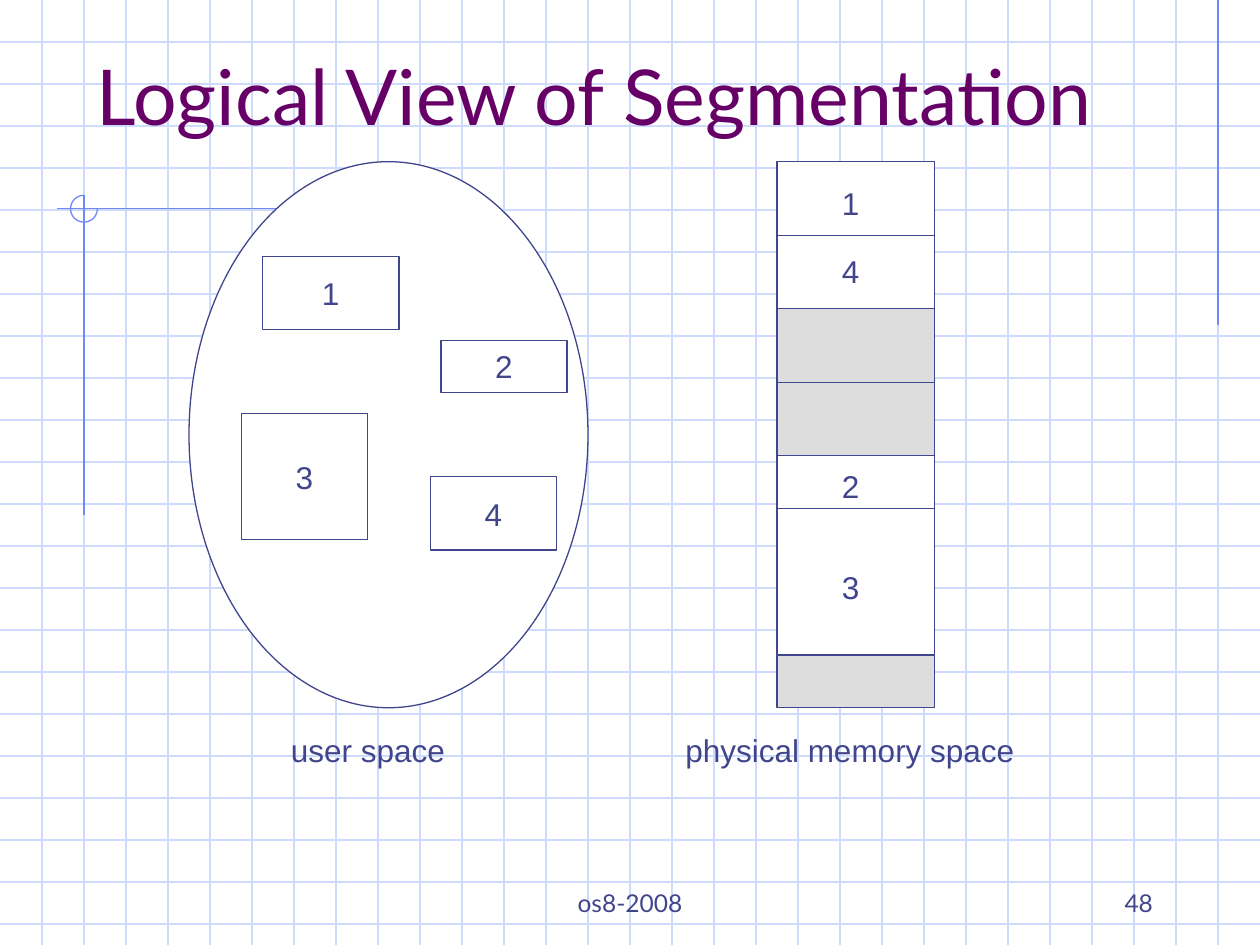
from lxml import etree
from pptx import Presentation
from pptx.dml.color import RGBColor
from pptx.enum.shapes import MSO_CONNECTOR, MSO_SHAPE
from pptx.enum.text import MSO_ANCHOR, MSO_AUTO_SIZE, PP_ALIGN
from pptx.oxml.ns import qn
from pptx.util import Inches, Pt

RECT, OVAL, ARC = MSO_SHAPE.RECTANGLE, MSO_SHAPE.OVAL, MSO_SHAPE.ARC
STRAIGHT = MSO_CONNECTOR.STRAIGHT
LEFT, CENTER, RIGHT = PP_ALIGN.LEFT, PP_ALIGN.CENTER, PP_ALIGN.RIGHT
MIDDLE, BOTTOM = MSO_ANCHOR.MIDDLE, MSO_ANCHOR.BOTTOM
LEFT_SIDE, RIGHT_SIDE = 1, 3
TITLE_ONLY = 5

COLORS = {
    "grid": "CFDBFD", "accent": "6F89F7", "title": "660066",
    "ink": "40458C", "used": "FFFFFF", "free": "DDDDDD",
}
# The slide is ruled in squares, three to the inch; all lengths are in squares.
COLS, ROWS = 30, 22.5


def squares(*counts):
    return [Inches(count / 3) for count in counts]


def color(name):
    return RGBColor.from_string(COLORS[name])


def write(frame, text, size=18, font="Arial", ink="ink", align=CENTER,
          anchor=MIDDLE, wrap=False):
    frame.auto_size = MSO_AUTO_SIZE.NONE
    frame.word_wrap = wrap
    frame.vertical_anchor = anchor
    paragraph = frame.paragraphs[0]
    paragraph.text = text
    paragraph.alignment = align
    paragraph.font.size = Pt(size)
    paragraph.font.name = font
    paragraph.font.color.rgb = color(ink)


class GridSlide:
    def __init__(self, deck):
        self.slide = deck.slides.add_slide(deck.slide_layouts[TITLE_ONLY])
        self.shapes = self.slide.shapes
        self.stroke = Pt(0.75)

    def outline(self, item, ink):
        item.line.color.rgb = color(ink)
        item.line.width = self.stroke

    def line(self, x1, y1, x2, y2, ink="ink"):
        rule = self.shapes.add_connector(STRAIGHT, *squares(x1, y1, x2, y2))
        self.outline(rule, ink)
        etree.SubElement(rule._element.spPr, qn("a:effectLst"))
        return rule

    def shape(self, kind, x, y, w, h, fill="used", ink="ink", text=None):
        item = self.shapes.add_shape(kind, *squares(x, y, w, h))
        item.shadow.inherit = False
        if fill:
            item.fill.solid()
            item.fill.fore_color.rgb = color(fill)
        else:
            item.fill.background()
        self.outline(item, ink)
        if text:
            write(item.text_frame, text)
        return item

    def split(self, block):
        """Divide a block in two equal halves."""
        middle = self.line(0, 0, 1, 0)
        middle.begin_connect(block, LEFT_SIDE)
        middle.end_connect(block, RIGHT_SIDE)

    def label(self, text, x, y, w, h, **style):
        box = self.shapes.add_textbox(*squares(x, y, w, h))
        write(box.text_frame, text, **style)

    def title(self, text, x, y, w, h):
        heading = self.shapes.title
        heading.left, heading.top, heading.width, heading.height = squares(x, y, w, h)
        write(heading.text_frame, text, size=44, font="Lato", ink="title",
              align=LEFT, anchor=BOTTOM, wrap=True)
        # Bring the heading in front of the ruled background
        self.shapes._spTree.append(heading._element)


def main():
    deck = Presentation()
    deck.slide_width, deck.slide_height = squares(COLS, ROWS)
    page = GridSlide(deck)

    # Ruled background
    for row in range(1, 23):
        page.line(0, row, COLS, row, "grid")
    for col in range(1, COLS):
        page.line(col, 0, col, ROWS, "grid")

    # Corner ornaments
    page.line(29, 0, 29, 7.75, "accent")
    page.line(7.2, 4.97, 1.35, 4.97, "accent")
    page.line(2, 4.65, 2, 12.27, "accent")
    ring = page.shape(ARC, 1.68, 4.65, 0.64, 0.64, fill=None, ink="accent")
    ring.adjustments[0] = 0
    ring.adjustments[1] = 162  # 270 degrees

    page.title("Logical View of Segmentation", 2, 1, 25.5, 2.5)

    # User space with its segments
    top = 3.85
    page.shape(OVAL, 4.5, top, 9.5, 13)
    for number, x, y, w, h in (
        ("1", 6.25, 6.1, 3.25, 1.75),
        ("3", 5.75, 9.85, 3, 3),
        ("2", 10.5, 8.1, 3, 1.25),
        ("4", 10.25, 11.35, 3, 1.75),
    ):
        page.shape(RECT, x, y, w, h, text=number)

    # Physical memory, stacked from the top
    memory_x, memory_w = 18.5, 3.75
    y = top
    blocks = []
    for height, fill in ((3.5, "used"), (3.5, "free"), (4.75, "used"), (1.25, "free")):
        blocks.append(page.shape(RECT, memory_x, y, memory_w, height, fill))
        y += height
    for block in blocks[:2]:
        page.split(block)
    page.line(memory_x, 12.1, memory_x + memory_w, 12.1)
    for number, y in (("1", 4.23), ("4", 5.85), ("2", 10.98), ("3", 13.38)):
        page.label(number, 19.75, y, 1, 1.2)

    # Captions
    page.label("user space ", 6.63, 17.25, 4.47, 1.2)
    page.label("physical memory space", 16.02, 17.25, 8.43, 1.2)

    # Footer
    footer = {"size": 14, "font": "Lato", "anchor": BOTTOM, "wrap": True}
    page.label("os8-2008", 10.25, 20.5, 9.5, 1.5, **footer)
    page.label("48", 21.5, 20.5, 6.25, 1.5, align=RIGHT, **footer)

    deck.save("out.pptx")


if __name__ == "__main__":
    main()
